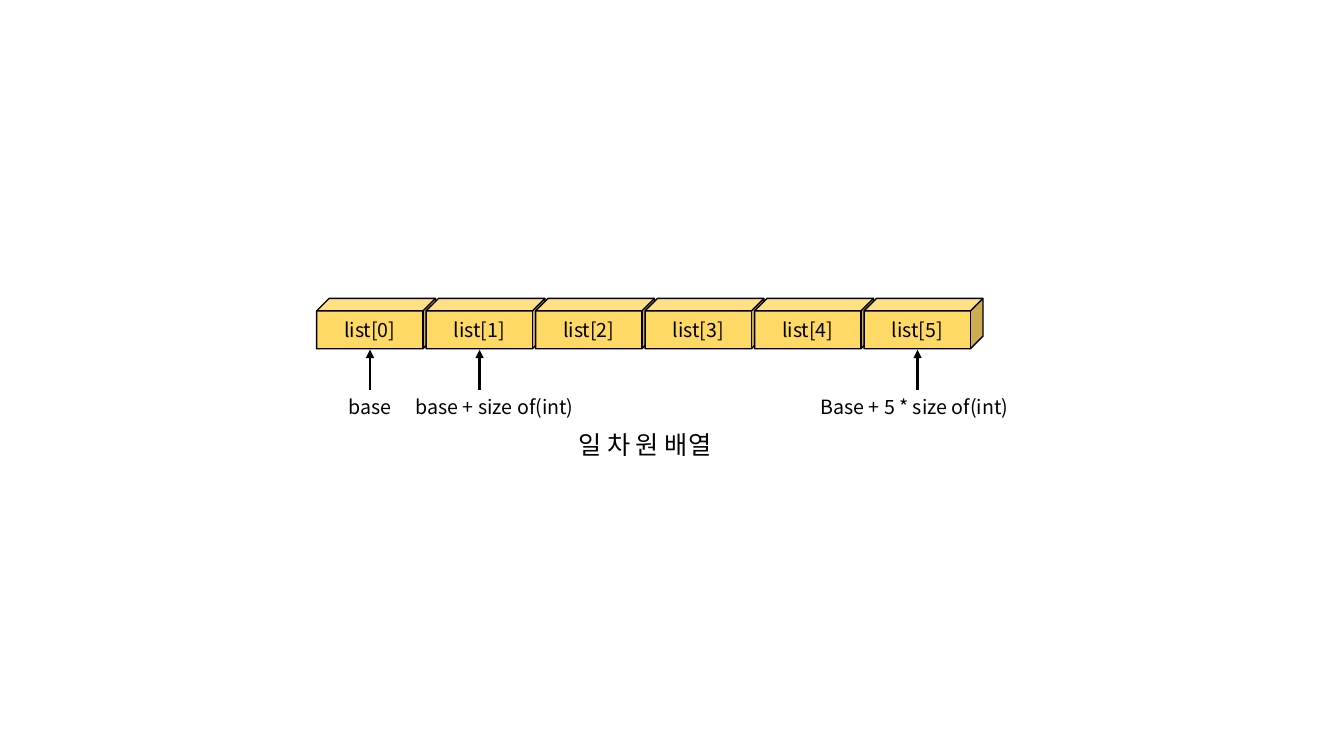
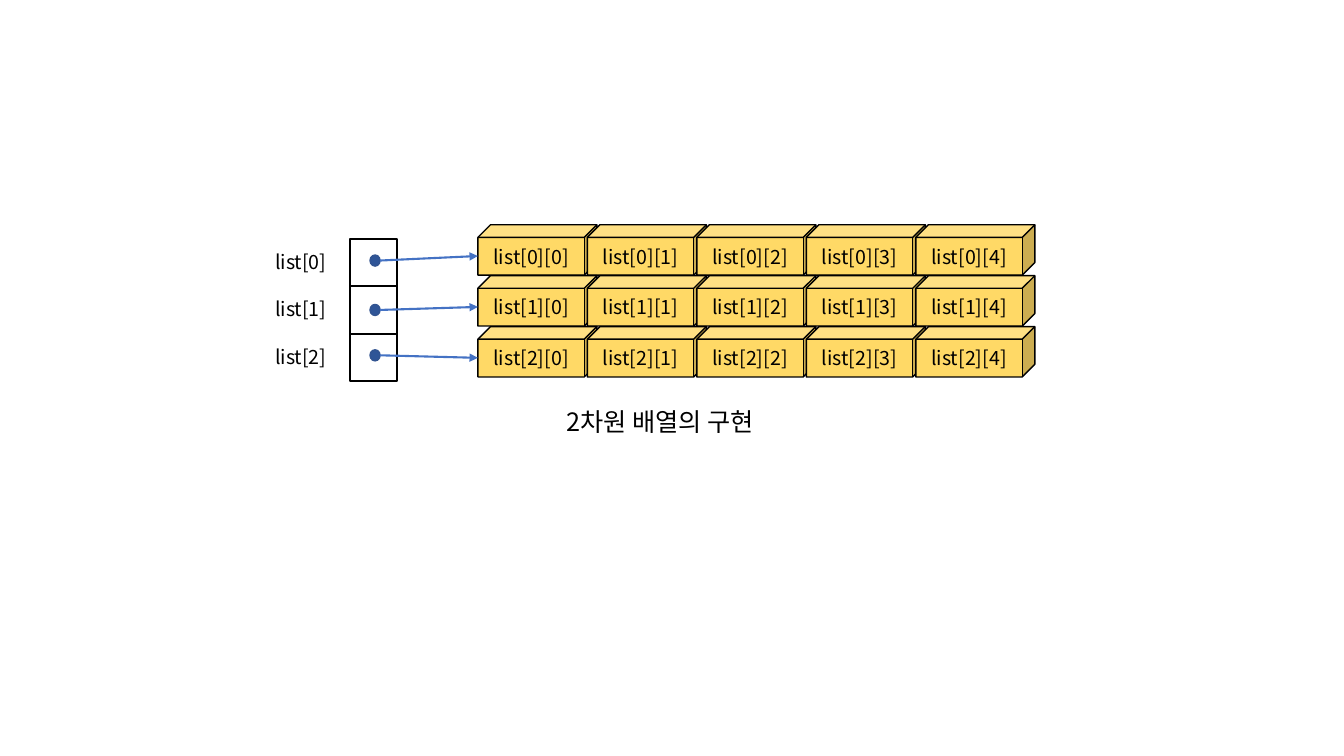
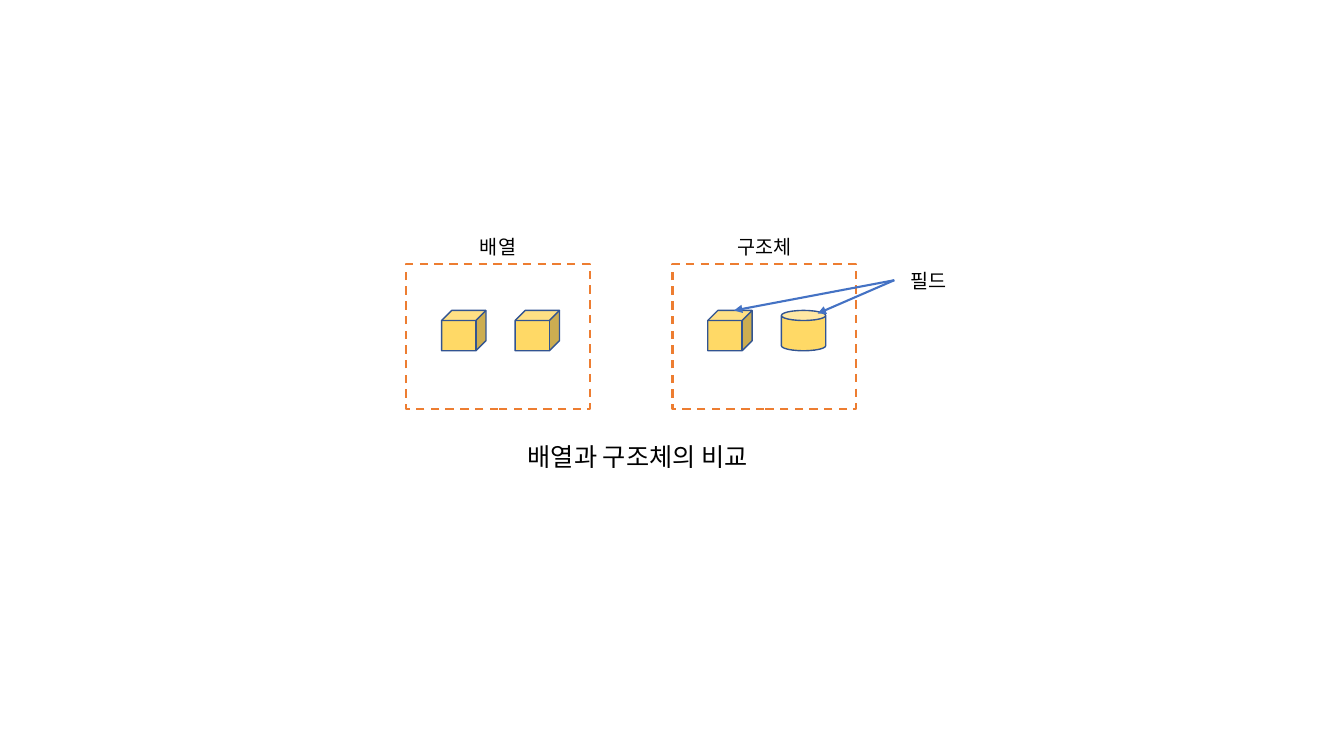
from pptx import Presentation
from pptx.dml.color import RGBColor
from pptx.enum.dml import MSO_LINE
from pptx.enum.shapes import MSO_CONNECTOR, MSO_SHAPE
from pptx.enum.text import MSO_ANCHOR, MSO_AUTO_SIZE, PP_ALIGN
from pptx.oxml.ns import qn
from pptx.util import Inches, Pt
from lxml.etree import SubElement

FACE = "Noto Sans CJK KR"
BLACK, GOLD, ORANGE = "000000", "FFD966", "ED7D31"
BLUE, NAVY, DOT = "4472C4", "325491", "2F5597"
CUBE_W, CUBE_H, PITCH = 1.18, 0.5, 5.43 / 5
FRONT_X, FRONT_Y = 0.53, 0.31  # centre of a cube's front face
LABEL_H = 0.34


def rgb(code):
    return RGBColor.from_string(code)


def apply(target, values):
    for name, value in values.items():
        setattr(target, name, value)


def write(frame, text, size=14, anchor=MSO_ANCHOR.TOP):
    apply(frame, {"word_wrap": True, "auto_size": MSO_AUTO_SIZE.NONE,
                  "vertical_anchor": anchor})
    para = frame.paragraphs[0]
    para.alignment = PP_ALIGN.CENTER
    run = para.add_run()
    run.text = text
    apply(run.font, {"size": Pt(size), "name": FACE})
    run.font.color.rgb = rgb(BLACK)
    SubElement(run.font._element, qn("a:ea")).set("typeface", FACE)


def label(slide, text, left, top, width):
    box = slide.shapes.add_textbox(*map(Inches, (left, top, width, LABEL_H)))
    write(box.text_frame, text)


def shape(slide, kind, box, fill=None, line=BLACK, weight=1, dash=None):
    item = slide.shapes.add_shape(kind, *map(Inches, box))
    item.shadow.inherit = False
    if fill:
        item.fill.solid()
        item.fill.fore_color.rgb = rgb(fill)
    else:
        item.fill.background()
    item.line.color.rgb = rgb(line)
    apply(item.line, {"width": Pt(weight), "dash_style": dash})
    return item


def arrow(slide, start, end, color):
    link = slide.shapes.add_connector(
        MSO_CONNECTOR.STRAIGHT, *map(Inches, (*start, *end)))
    link.line.color.rgb = rgb(color)
    link.line.width = Pt(1.5)
    SubElement(link.line._get_or_add_ln(), qn("a:tailEnd")).set("type", "triangle")
    SubElement(link._element.spPr, qn("a:effectLst"))


def start(deck, caption, left, top):
    """Add a slide whose title is the caption below its figure."""
    slide = deck.slides.add_slide(deck.slide_layouts[5])
    title = slide.shapes.title
    apply(title, {"left": Inches(left), "top": Inches(top),
                  "width": Inches(5.09), "height": Inches(0.4)})
    write(title.text_frame, caption, 18)
    return slide


def cubes(slide, left, top, names):
    for i, name in enumerate(names):
        cube = shape(slide, MSO_SHAPE.CUBE,
                     (left + i * PITCH, top, CUBE_W, CUBE_H), GOLD)
        write(cube.text_frame, name, anchor=MSO_ANCHOR.MIDDLE)


def linear(deck):
    slide = start(deck, "일 차 원 배열", 3.85, 4.21)
    left, top = 3.14, 2.96
    cubes(slide, left, top, [f"list[{i}]" for i in range(6)])
    wide = 2.5
    for i, text, shift in ((0, "base", 0), (1, "base + size of(int)", 0.15),
                           (5, "Base + 5 * size of(int)", -0.03)):
        x = left + i * PITCH + FRONT_X
        arrow(slide, (x, top + 0.91), (x, top + 0.51), BLACK)
        label(slide, text, x + shift - wide / 2, top + 0.91, wide)


def pointer(slide, left, top, name, drop, target):
    """Draw a named cell with a dot that points at target."""
    side, wide, high = 0.47, 0.1, 0.11
    shape(slide, MSO_SHAPE.RECTANGLE, (left, top, side, side), weight=1.5)
    label(slide, name, left - 1.15, top + 0.06, 1.33)
    x, y = left + 0.2, top + drop
    shape(slide, MSO_SHAPE.OVAL, (x, y, wide, high), DOT, NAVY)
    arrow(slide, (x + wide, y + high / 2), target, BLUE)


def matrix(deck):
    slide = start(deck, "2차원 배열의 구현", 4, 3.98)
    left, top = 4.74, 2.23
    for row, drop in enumerate((0.16, 0.18, 0.16)):
        y = top + row * 1.01 / 2
        name = f"list[{row}]"
        cubes(slide, left, y, [f"{name}[{col}]" for col in range(5)])
        pointer(slide, 3.47, 2.37 + row * 0.47, name, drop, (left, y + FRONT_Y))


def group(slide, left, top, name, kinds):
    """Draw a dashed frame with its name above and two solids inside."""
    wide, name_w = 1.82, 1.33
    shape(slide, MSO_SHAPE.RECTANGLE, (left, top, wide, 1.44),
          line=ORANGE, weight=1.5, dash=MSO_LINE.DASH)
    label(slide, name, left + (wide - name_w) / 2, top - LABEL_H, name_w)
    for i, kind in enumerate(kinds):
        shape(slide, kind, (left + 0.35 + i * 0.73, top + 0.46, 0.44, 0.4),
              GOLD, NAVY)


def compare(deck):
    slide = start(deck, "배열과 구조체의 비교", 3.78, 4.33)
    top = 2.62
    group(slide, 4.03, top, "배열", [MSO_SHAPE.CUBE] * 2)
    group(slide, 6.67, top, "구조체", [MSO_SHAPE.CUBE, MSO_SHAPE.CAN])
    field = 8.87
    label(slide, "필드", field, top, 0.68)
    for end in ((7.28, 3.08), (8.11, 3.11)):
        arrow(slide, (field, top + 0.16), end, BLUE)


def main():
    deck = Presentation()
    apply(deck, {"slide_width": Inches(13.33), "slide_height": Inches(7.5)})
    for build in (linear, matrix, compare):
        build(deck)
    deck.save("out.pptx")


if __name__ == "__main__":
    main()
